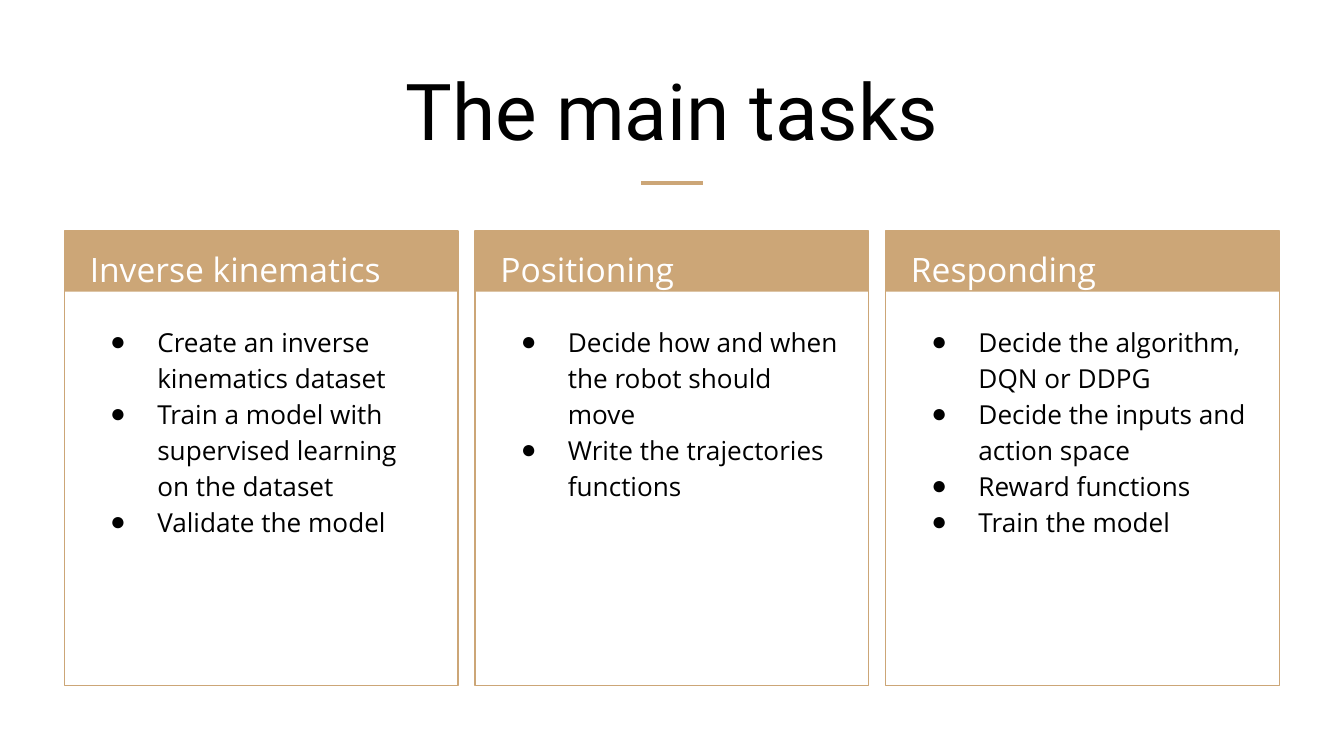
from lxml import etree
from pptx import Presentation
from pptx.dml.color import RGBColor
from pptx.enum.shapes import MSO_CONNECTOR, MSO_SHAPE
from pptx.enum.text import MSO_ANCHOR, MSO_AUTO_SIZE, PP_ALIGN
from pptx.oxml.ns import qn
from pptx.util import Inches, Pt

RECTANGLE = MSO_SHAPE.RECTANGLE
STRAIGHT = MSO_CONNECTOR.STRAIGHT
TOP, BOTTOM = MSO_ANCHOR.TOP, MSO_ANCHOR.BOTTOM
LEFT, CENTER = PP_ALIGN.LEFT, PP_ALIGN.CENTER
NO_FIT = MSO_AUTO_SIZE.NONE

TITLE = "The main tasks"
TASKS = [
    ("Inverse kinematics", [
        "Create an inverse kinematics dataset",
        "Train a model with supervised learning on the dataset",
        "Validate the model",
    ]),
    ("Positioning", [
        "Decide how and when the robot should move",
        "Write the trajectories functions",
    ]),
    ("Responding", [
        "Decide the algorithm, DQN or DDPG",
        "Decide the inputs and action space",
        "Reward functions",
        "Train the model",
    ]),
]

COLORS = {"accent": "CCA677", "text": "000000", "heading": "FFFFFF"}
TITLE_FONT, BODY_FONT = "Roboto", "Open Sans"

SLIDE_WIDTH = 10
SLIDE_HEIGHT = SLIDE_WIDTH * 9 / 16
MARGIN = 0.48
CARD_TOP, CARD_WIDTH, CARD_HEIGHT = 1.72, 2.93, 3.38
HEADER_HEIGHT = 0.45
CARD_STEP = (SLIDE_WIDTH - 2 * MARGIN - CARD_WIDTH) / (len(TASKS) - 1)
TEXT_INSET, TEXT_WIDTH = 0.09, 2.73
RULE_WIDTH, RULE_TOP = 0.46, 1.36
COMPARISON_LAYOUT = 4


def color(name):
    return RGBColor.from_string(COLORS[name])


def place(box, left, top, width, height):
    box.left, box.top = Inches(left), Inches(top)
    box.width, box.height = Inches(width), Inches(height)


def write(box, lines, size, font, color_name, align=LEFT, anchor=TOP, spacing=1.15):
    frame = box.text_frame
    frame.text = "\n".join(lines)
    frame.word_wrap = True
    frame.auto_size = NO_FIT
    frame.vertical_anchor = anchor
    frame.margin_left = frame.margin_right = Inches(0.1)
    frame.margin_top = frame.margin_bottom = Inches(0.1)
    for para in frame.paragraphs:
        para.alignment = align
        para.line_spacing = spacing
        para.space_before = para.space_after = Pt(0)
        for span in para.runs:
            span.font.size = Pt(size)
            span.font.name = font
            span.font.bold = False
            span.font.color.rgb = color(color_name)


def add_bullets(box):
    for para in box.text_frame.paragraphs:
        properties = para._p.get_or_add_pPr()
        properties.set("marL", str(Inches(0.5)))
        properties.set("indent", str(Inches(-0.35)))
        bullet_color = etree.SubElement(properties, qn("a:buClr"))
        etree.SubElement(bullet_color, qn("a:srgbClr"), val=COLORS["text"])
        etree.SubElement(properties, qn("a:buChar"), char="●")


def add_card(page, left):
    """Group an outlined frame with its filled header bar."""
    card = page.shapes.add_group_shape()
    frame, header = [
        card.shapes.add_shape(RECTANGLE, Inches(left), Inches(CARD_TOP),
                              Inches(CARD_WIDTH), Inches(height))
        for height in (CARD_HEIGHT, HEADER_HEIGHT)
    ]
    frame.shadow.inherit = header.shadow.inherit = False
    frame.fill.background()
    frame.line.color.rgb = color("accent")
    frame.line.width = Pt(0.75)
    header.fill.solid()
    header.fill.fore_color.rgb = color("accent")
    header.line.fill.background()


def add_rule(page):
    left = (SLIDE_WIDTH - RULE_WIDTH) / 2
    rule = page.shapes.add_connector(STRAIGHT, Inches(left), Inches(RULE_TOP),
                                     Inches(left + RULE_WIDTH), Inches(RULE_TOP))
    rule.line.color.rgb = color("accent")
    rule.line.width = Pt(2.25)
    etree.SubElement(rule._element.spPr, qn("a:effectLst"))


def main():
    deck = Presentation()
    deck.slide_width, deck.slide_height = Inches(SLIDE_WIDTH), Inches(SLIDE_HEIGHT)
    page = deck.slides.add_slide(deck.slide_layouts[COMPARISON_LAYOUT])
    bodies = [box for box in page.placeholders if box.placeholder_format.idx in (1, 2, 3, 4)]
    for spare in bodies[len(TASKS):]:
        spare._element.getparent().remove(spare._element)

    title = page.shapes.title
    place(title, 0.34, 0.35, 9.32, 0.91)
    write(title, [TITLE], 42, TITLE_FONT, "text", CENTER, BOTTOM, 1.0)
    add_rule(page)

    for column, ((heading, items), body) in enumerate(zip(TASKS, bodies)):
        left = MARGIN + column * CARD_STEP
        add_card(page, left)
        label = page.shapes.add_textbox(0, 0, 0, 0)
        place(label, left + TEXT_INSET, CARD_TOP - 0.01, TEXT_WIDTH, HEADER_HEIGHT)
        write(label, [heading], 18, BODY_FONT, "heading")
        place(body, left + TEXT_INSET, 2.29, TEXT_WIDTH, 2.8)
        write(body, items, 14, BODY_FONT, "text")
        add_bullets(body)

    deck.save("out.pptx")


if __name__ == "__main__":
    main()
